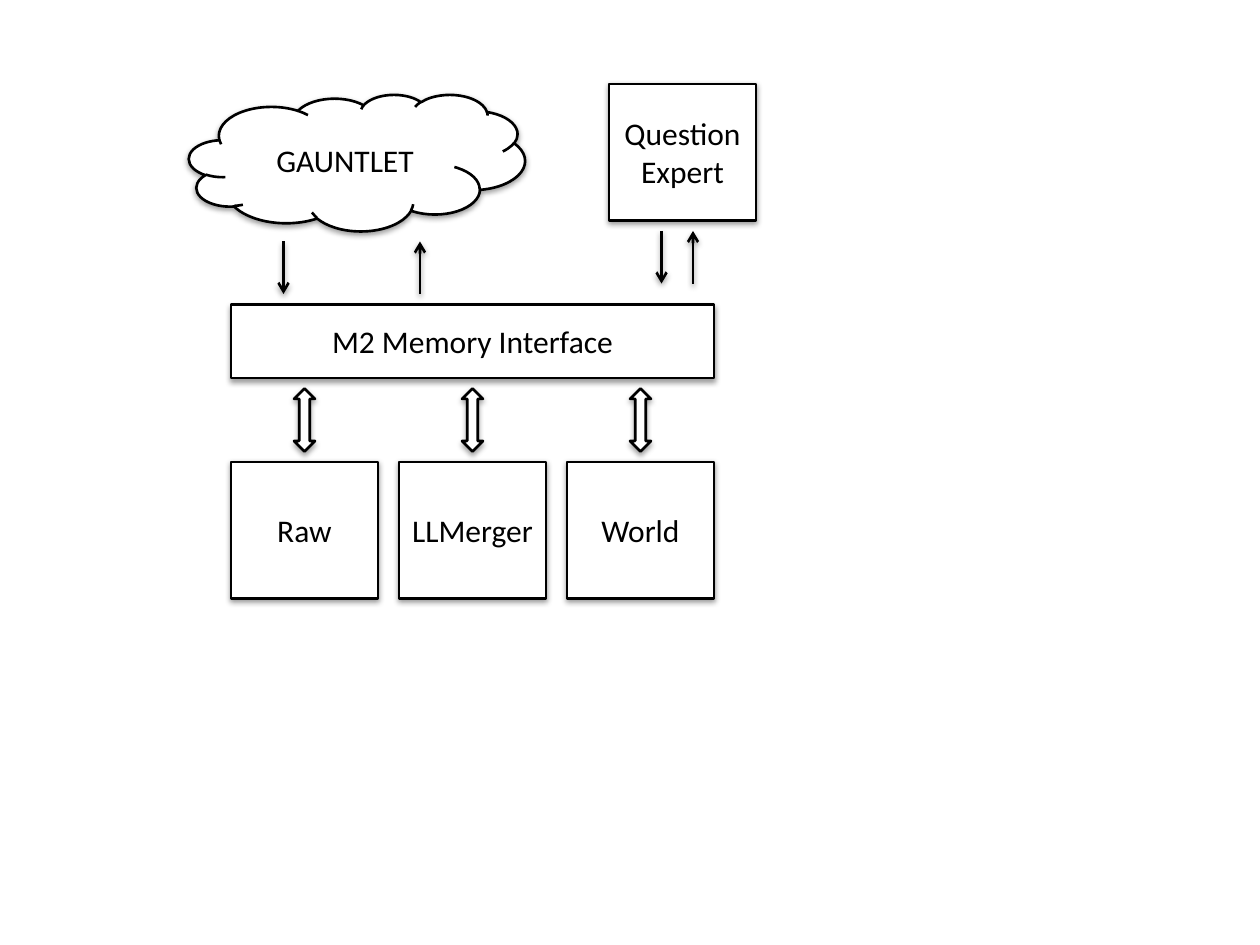
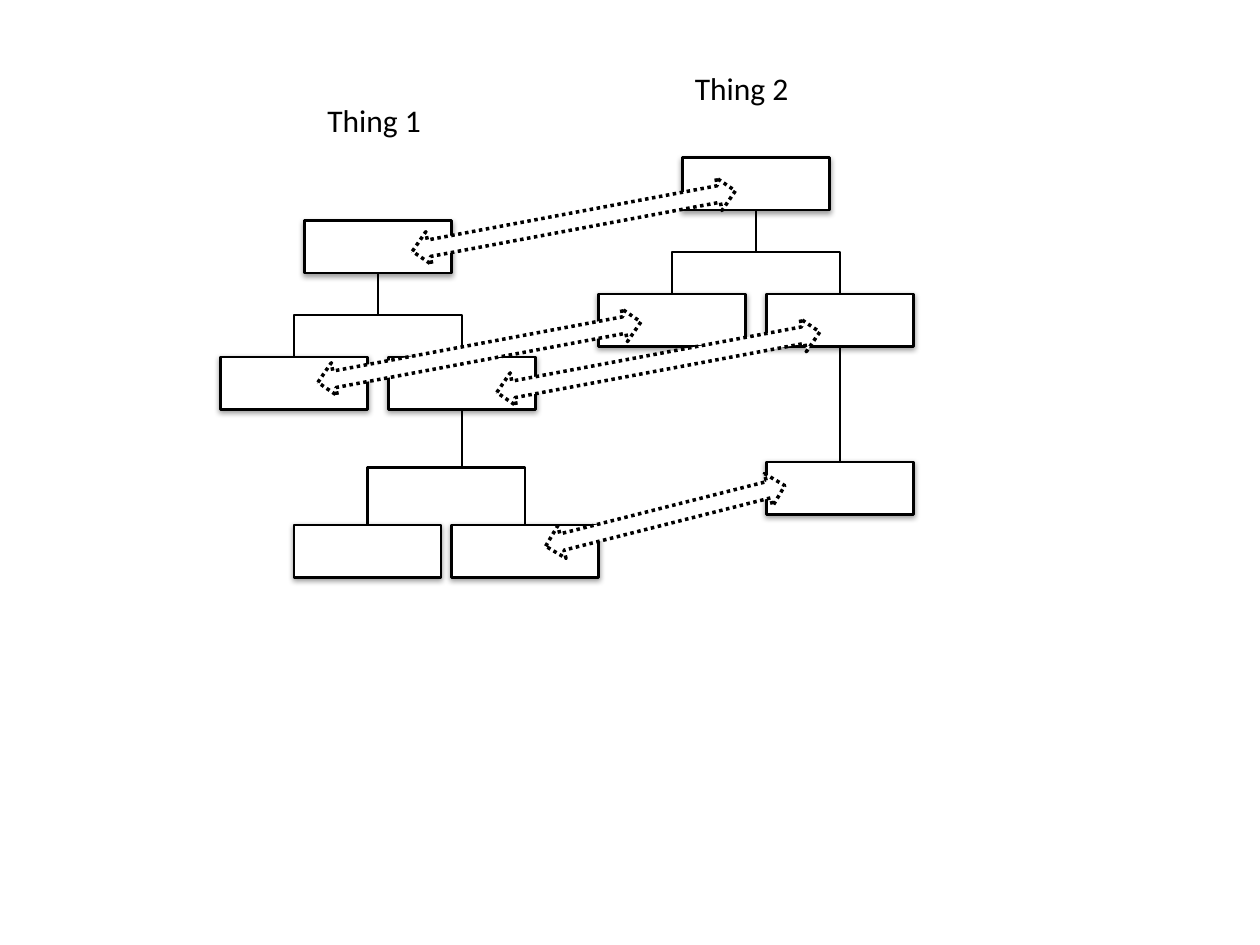
import pptx
import pptx.util
import pptx.dml.color
import pptx.enum.dml
import pptx.enum.shapes
import pptx.enum.text
import pptx.oxml
import pptx.oxml.ns

COLORS = {"ink": "000000", "paper": "FFFFFF"}
FONT = "Calibri"
UNIT = pptx.util.Inches(1) / 12  # the grid has twelve cells to the inch
WIDE = 14                        # width of a box, in cells
SHAPE = pptx.enum.shapes.MSO_SHAPE
LINK = pptx.enum.shapes.MSO_CONNECTOR
qn = pptx.oxml.ns.qn


def cells(*counts):
    return [round(n * UNIT) for n in counts]


def color(name):
    return pptx.dml.color.RGBColor.from_string(COLORS[name])


def node(tag, attrs):
    return pptx.oxml.parse_xml(
        f'<a:{tag} {pptx.oxml.ns.nsdecls("a")} {attrs}/>')


def finish(part, shadow=True, width=1.5):
    """Give a shape or connector the shared outline and shadow."""
    part.line.color.rgb = color("ink")
    part.line.width = pptx.util.Pt(width)
    effects = node("effectLst", "")
    if shadow:
        drop = node("outerShdw", 'blurRad="40000" dist="20000" '
                    'dir="5400000" rotWithShape="0"')
        tint = node("srgbClr", f'val="{COLORS["ink"]}"')
        tint.append(node("alpha", 'val="38000"'))
        drop.append(tint)
        effects.append(drop)
    part._element.spPr.append(effects)


def write(frame, text, align):
    frame.word_wrap = True
    para = frame.paragraphs[0]
    para.text = text
    para.alignment = align
    para.font.name = FONT
    para.font.size = pptx.util.Pt(18)
    para.font.color.rgb = color("ink")


def block(slide, kind, box, text="", **style):
    shape = slide.shapes.add_shape(kind, *cells(*box))
    shape.fill.solid()
    shape.fill.fore_color.rgb = color("paper")
    finish(shape, **style)
    if text:
        shape.text_frame.vertical_anchor = pptx.enum.text.MSO_ANCHOR.MIDDLE
        write(shape.text_frame, text, pptx.enum.text.PP_ALIGN.CENTER)
    return shape


def label(slide, x, y, text):
    area = slide.shapes.add_textbox(*cells(x, y, 12, 4.85))
    write(area.text_frame, text, pptx.enum.text.PP_ALIGN.LEFT)
    area.text_frame.auto_size = pptx.enum.text.MSO_AUTO_SIZE.SHAPE_TO_FIT_TEXT


def arrow(slide, x, start, end):
    line = slide.shapes.add_connector(
        LINK.STRAIGHT, *cells(x, start, x, end))
    finish(line)
    line._element.spPr.find(qn("a:ln")).append(
        node("tailEnd", 'type="arrow"'))


def branch(slide, top, low):
    """Join two boxes by an elbow that leaves downwards."""
    x1, y1 = top.left + top.width // 2, top.top + top.height
    x2, y2 = low.left + low.width // 2, low.top
    line = slide.shapes.add_connector(LINK.ELBOW, x1, y1, x2, y2)
    line.begin_connect(top, 2)
    line.end_connect(low, 0)
    finish(line, shadow=False)
    # An upright elbow is a level one turned about its centre
    run, drop = abs(x2 - x1), y2 - y1
    frame = line._element.spPr.find(qn("a:xfrm"))
    for flip in ("flipH", "flipV"):
        frame.attrib.pop(flip, None)
    if x2 > x1:
        frame.set("flipH", "1")
    frame.set("rot", str((270 if x2 > x1 else 90) * 60000))
    line.left, line.top = (x1 + x2 - drop) // 2, (y1 + y2 - run) // 2
    line.width, line.height = drop, run


def stores(slide, x, y, names):
    """The interface bar with a row of stores under it."""
    pitch, tall = WIDE + 2, 13
    wide = pitch * (len(names) - 1) + WIDE
    block(slide, SHAPE.RECTANGLE, (x, y, wide, 7), "M2 Memory Interface")
    for i, name in enumerate(names):
        left = x + i * pitch
        block(slide, SHAPE.RECTANGLE, (left, y + 15, WIDE, tall), name)
        block(slide, SHAPE.UP_DOWN_ARROW,
              (left + WIDE / 2 - 1, y + 8, 2, 6))


def client(slide, kind, box, text, down, up):
    """A client and its arrows; down and up are offsets from its left."""
    x, y, wide, tall = box
    block(slide, kind, box, text)
    near, far = y + tall + 1, y + tall + 6
    arrow(slide, x + down, near, far)
    arrow(slide, x + up, far, near)


def tree(slide, x, y, leaves):
    """A root at x, y with two children and leaves under the right one."""
    spots = [(0, 0), (-8, 13), (8, 13)] + [(dx, 29) for dx in leaves]
    boxes = [block(slide, SHAPE.RECTANGLE, (x + dx, y + dy, WIDE, 5))
             for dx, dy in spots]
    root, left, right = boxes[:3]
    for child in (left, right):
        branch(slide, root, child)
    for leaf in boxes[3:]:
        branch(slide, right, leaf)


def match(slide, x, y, size, angle):
    """A dotted two-way arrow centred at x, y."""
    tall = 3.2
    shape = block(slide, SHAPE.LEFT_RIGHT_ARROW,
                  (x - size / 2, y - tall / 2, size, tall),
                  shadow=False, width=2)
    shape.rotation = angle
    shape.line.dash_style = pptx.enum.dml.MSO_LINE.ROUND_DOT


deck = pptx.Presentation()
deck.slide_width, deck.slide_height = cells(120, 90)
blank = deck.slide_layouts[6]

# Memory architecture
slide = deck.slides.add_slide(blank)
stores(slide, 22, 29, ["Raw", "LLMerger", "World"])
client(slide, SHAPE.RECTANGLE, (58, 8, WIDE, 13), "Question Expert", 5, 8)
client(slide, SHAPE.CLOUD, (18, 9, 32, 13), "GAUNTLET", 9, 22)

# Two trees and the matches between them
slide = deck.slides.add_slide(blank)
tree(slide, 29, 21, [-1, 14])
tree(slide, 65, 15, [8])
for x, y, size, angle in [(54.66, 21.06, 31.3, 349.4),
                          (45.66, 33.54, 31.3, 349.4),
                          (62.7, 34.5, 31.3, 349.4),
                          (63.36, 49.14, 23.5, 345.8)]:
    match(slide, x, y, size, angle)
label(slide, 30, 9, "Thing 1")
label(slide, 65, 6, "Thing 2")

deck.save("out.pptx")
